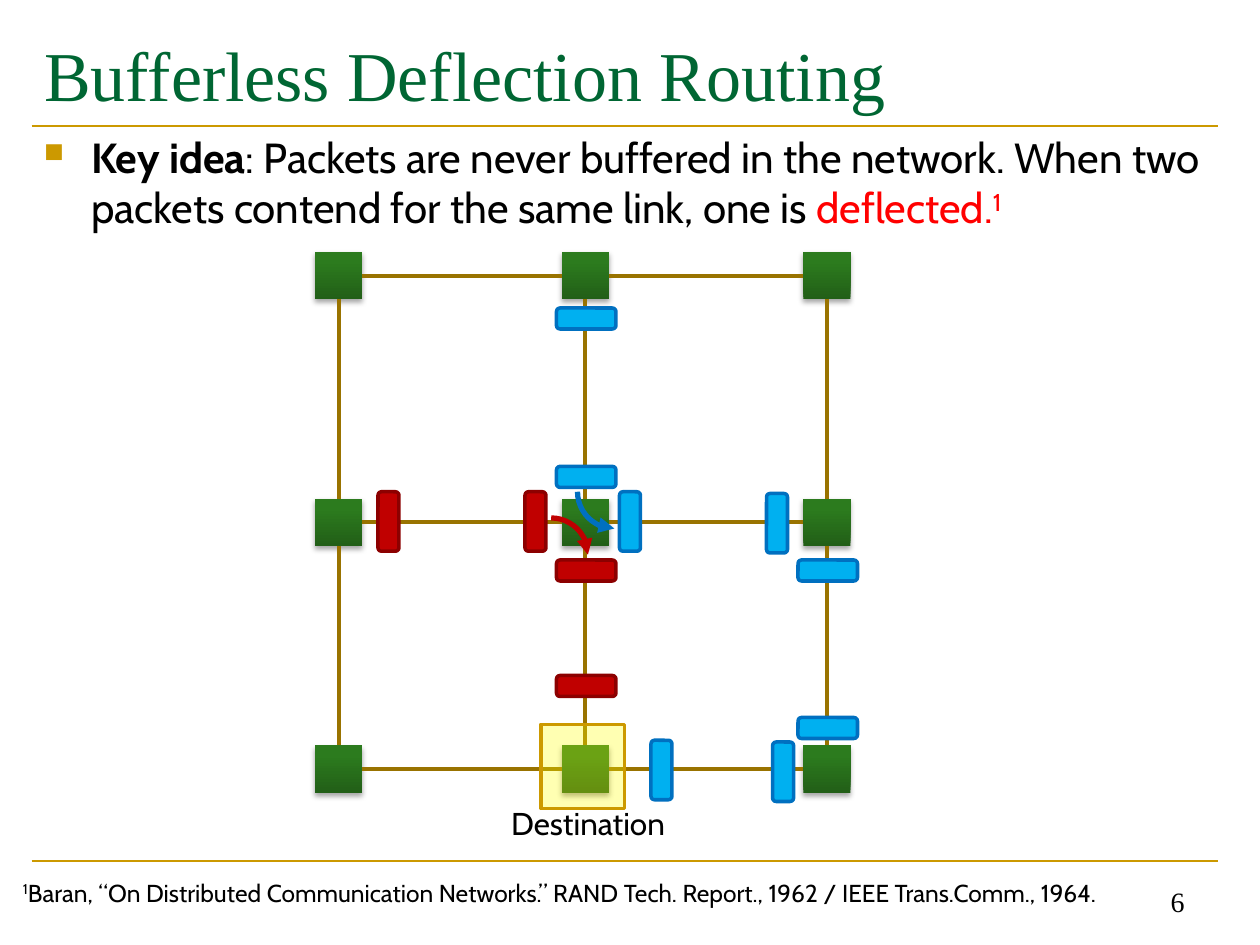
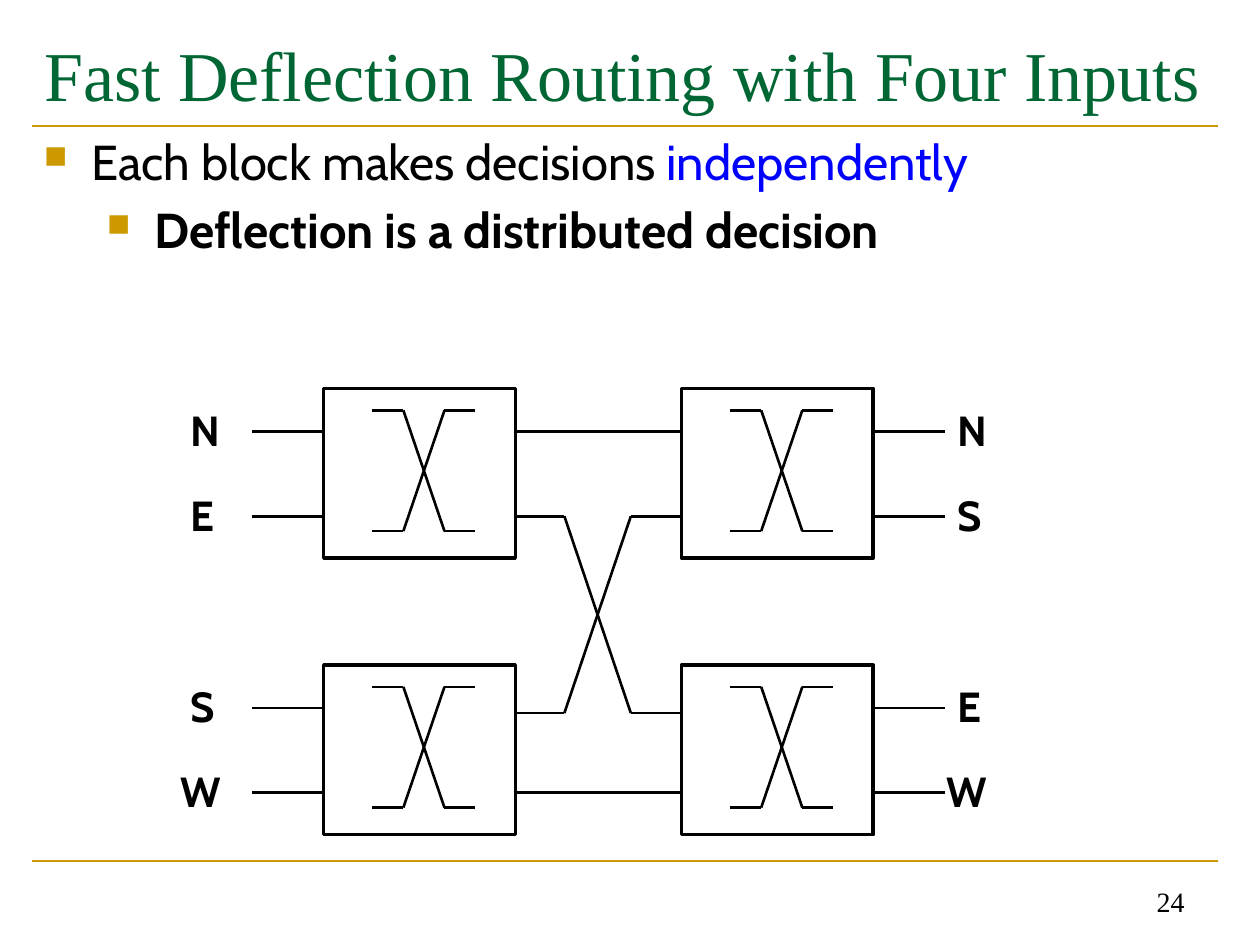
from lxml import etree
from pptx import Presentation
from pptx.dml.color import RGBColor
from pptx.enum import shapes, text
from pptx.oxml import ns
from pptx.util import Pt

COLORS = {
    "title": "006633", "rule": "CC9900", "ink": "000000", "paper": "FFFFFF",
    "red": "C00000", "red_edge": "8C0000", "red_text": "FF0000",
    "blue": "00B0F0", "blue_edge": "0070C0", "blue_text": "0000FF",
    "link": "997300", "node_dark": "225F17", "node_light": "2C7B1E",
    "highlight": "FFFF00",
}
BODY_FONT, TITLE_FONT = "Cabin", "Times New Roman"
TITLE_ONLY = 5


def rgb(name):
    return RGBColor.from_string(COLORS[name])


def child(parent, tag, **attributes):
    element = etree.SubElement(parent, ns.qn(tag))
    for key, value in attributes.items():
        element.set(key, str(value))
    return element


def write(paragraph, words, font=BODY_FONT, size=24, color="ink", bold=False,
          raised=False):
    """Append one formatted run to a paragraph."""
    run = paragraph.add_run()
    run.text = words
    run.font.name, run.font.size, run.font.bold = font, Pt(size), bold
    run.font.color.rgb = rgb(color)
    if raised:
        run.font._element.set("baseline", "30000")


def add_bullet(paragraph, level):
    props = paragraph._p.get_or_add_pPr()
    props.set("marL", str(Pt(27 + 36 * level)))
    props.set("indent", str(Pt(-27)))
    color = child(props, "a:buClr")
    child(color, "a:srgbClr", val=COLORS["rule"])
    child(props, "a:buSzPct", val=65000)
    child(props, "a:buChar", char="■")


class Deck:
    def __init__(self):
        self.prs = Presentation()
        self.prs.slide_width, self.prs.slide_height = Pt(720), Pt(540)
        self.slide = None

    def new_slide(self, heading, number):
        self.slide = self.prs.slides.add_slide(self.prs.slide_layouts[TITLE_ONLY])
        for y in (72, 492):
            self.line((18, y), (696, y), "rule", 1.5)
        title = self.slide.shapes.title
        title.left, title.top, title.width, title.height = map(Pt, (18, 12, 678, 60))
        frame = title.text_frame
        frame.auto_size = text.MSO_AUTO_SIZE.NONE
        frame.vertical_anchor = text.MSO_ANCHOR.MIDDLE
        frame.paragraphs[0].alignment = text.PP_ALIGN.LEFT
        write(frame.paragraphs[0], heading, font=TITLE_FONT, size=40, color="title")
        page = self.text_box(516, 492, 168, 36)
        page.vertical_anchor = text.MSO_ANCHOR.BOTTOM
        page.paragraphs[0].alignment = text.PP_ALIGN.RIGHT
        write(page.paragraphs[0], str(number), font=TITLE_FONT, size=16)

    def text_box(self, x, y, width, height, wrap=True):
        box = self.slide.shapes.add_textbox(*map(Pt, (x, y, width, height)))
        frame = box.text_frame
        frame.word_wrap = wrap
        if not wrap:
            frame.auto_size = text.MSO_AUTO_SIZE.SHAPE_TO_FIT_TEXT
        return frame

    def label(self, x, y, width, height, words, **style):
        frame = self.text_box(x, y, width, height, wrap=False)
        write(frame.paragraphs[0], words, **style)
        return frame.paragraphs[0]

    def bullets(self, height, size, items):
        """Write items, each a level and its (words, style) runs."""
        frame = self.text_box(18, 71.5, 690, height)
        for i, (level, runs) in enumerate(items):
            paragraph = frame.add_paragraph() if i else frame.paragraphs[0]
            if i:
                paragraph.space_before = Pt(size * 0.2)
            add_bullet(paragraph, level)
            for words, style in runs:
                write(paragraph, words, size=size, **style)

    def line(self, start, end, color="ink", weight=1.5):
        rule = self.slide.shapes.add_connector(
            shapes.MSO_CONNECTOR.STRAIGHT, *map(Pt, (*start, *end)))
        rule.line.color.rgb = rgb(color)
        rule.line.width = Pt(weight)
        child(rule._element.spPr, "a:effectLst")

    def shape(self, kind, x, y, width, height, fill=None, edge=None, weight=2,
              opacity=None):
        shape = self.slide.shapes.add_shape(kind, *map(Pt, (x, y, width, height)))
        shape.shadow.inherit = False
        if fill:
            shape.fill.solid()
            shape.fill.fore_color.rgb = rgb(fill)
        else:
            shape.fill.background()
        if opacity:
            tint = shape._element.spPr.find(".//" + ns.qn("a:srgbClr"))
            child(tint, "a:alpha", val=opacity * 1000)
        if edge:
            shape.line.color.rgb = rgb(edge)
            shape.line.width = Pt(weight)
        else:
            shape.line.fill.background()
        return shape

    def node(self, cx, cy, size):
        """Draw a shaded router square around a centre."""
        node = self.shape(shapes.MSO_SHAPE.RECTANGLE,
                          cx - size / 2, cy - size / 2, size, size)
        node.fill.gradient()
        node.fill.gradient_angle = 90
        dark, light = node.fill.gradient_stops
        dark.color.rgb, light.color.rgb = rgb("node_dark"), rgb("node_light")
        light.position = 0.8
        effects = node._element.spPr.find(ns.qn("a:effectLst"))
        shadow = child(effects, "a:outerShdw", blurRad=Pt(3.1), dist=Pt(1.8),
                       dir=5400000, rotWithShape=0)
        child(child(shadow, "a:srgbClr", val=COLORS["ink"]), "a:alpha", val=35000)

    def packet(self, color, cx, cy, upright):
        width, height = (12, 34) if upright else (34, 12)
        self.shape(shapes.MSO_SHAPE.ROUNDED_RECTANGLE, cx - width / 2,
                   cy - height / 2, width, height, color, color + "_edge")

    def turn(self, x, y, color, arrow_end, rotation=0):
        """Draw a quarter-circle arrow with its tip at headEnd or tailEnd."""
        arc = self.shape(shapes.MSO_SHAPE.ARC, x, y, 42, 42, edge=color, weight=3)
        arc.rotation = rotation
        child(arc.line._get_or_add_ln(), "a:" + arrow_end, type="triangle")

    def crossing(self, xs, top, bottom):
        """Draw two wires that swap heights between the inner two xs."""
        start, bend_in, bend_out, end = xs
        for y, other in ((top, bottom), (bottom, top)):
            self.line((start, y), (bend_in, y))
            self.line((bend_in, y), (bend_out, other))
            self.line((bend_out, other), (end, other))


def build_bufferless(deck):
    deck.new_slide("Bufferless Deflection Routing", 6)
    deck.bullets(73, 24, [(0, [
        ("Key idea", {"bold": True}),
        (": Packets are never buffered in the network. When two packets contend "
         "for the same link, one is ", {}),
        ("deflected.", {"color": "red_text"}),
        ("1", {"color": "red_text", "raised": True}),
    ])])

    columns, rows, size = (193.5, 334.5, 472.5), (157.5, 298.5, 439.5), 27
    half = size / 2
    for y in rows:
        for x in columns:
            deck.node(x, y, size)
    for x in columns:
        for upper, lower in zip(rows, rows[1:]):
            deck.line((x, upper + half), (x, lower - half), "link", 2.25)
    for y in rows:
        for left, right in zip(columns, columns[1:]):
            deck.line((left + half, y), (right - half, y), "link", 2.25)

    for color, x, y, upright in (
            ("red", 222, 298, True), ("red", 306, 298, True),
            ("red", 335, 326, False), ("red", 335, 392, False),
            ("blue", 335, 182, False), ("blue", 335, 272.5, False),
            ("blue", 360, 298, True), ("blue", 444, 299, True),
            ("blue", 473, 326, False), ("blue", 473, 416, False),
            ("blue", 447.5, 441, True), ("blue", 378, 440, True)):
        deck.packet(color, x, y, upright)
    deck.turn(330, 260, "blue_edge", "headEnd", rotation=180)
    deck.turn(294, 296, "red", "tailEnd")

    deck.shape(shapes.MSO_SHAPE.RECTANGLE, 309, 414, 48, 48, "highlight", "rule",
               opacity=30)
    deck.label(285, 456, 104.5, 29, "Destination", size=18)
    footnote = deck.label(6, 498, 667, 24, "1", size=14, raised=True)
    write(footnote, "Baran, “On Distributed Communication Networks.” RAND Tech. "
          "Report., 1962 / IEEE Trans.Comm., 1964.", size=14)


def build_four_inputs(deck):
    deck.new_slide("Fast Deflection Routing with Four Inputs", 24)
    deck.bullets(78, 28, [
        (0, [("Each block makes decisions ", {}),
             ("independently", {"color": "blue_text"})]),
        (1, [("Deflection is a distributed decision", {"bold": True})]),
    ])

    block_xs, block_ys, width, height = (185, 389.5), (222, 380), 109.5, 97
    for y in block_ys:
        for x in block_xs:
            deck.shape(shapes.MSO_SHAPE.RECTANGLE, x, y, width, height, "paper", "ink")
            deck.crossing([x + dx for dx in (27.5, 45.5, 69, 86.5)],
                          y + 12.5, y + 81.5)

    first, second = block_xs
    first_end, second_end = first + width, second + width
    ports = [y + dy for y in block_ys for dy in (24.5, 73)]
    deck.crossing((first_end, 322.5, 360.5, second), ports[1], 407.5)
    for y in (ports[0], ports[-1]):
        deck.line((first_end, y), (second, y))

    label_widths = {"N": 33, "E": 29.5, "S": 30, "W": 39.5}
    for names, label_x, wire_start, wire_end in (
            ("NESW", 102, 144, first), ("NSEW", 540, second_end, 540)):
        for name, y in zip(names, ports):
            deck.line((wire_start, y), (wire_end, y))
            shift = 6 if name == "W" else 0
            deck.label(label_x - shift, y - 19, label_widths[name], 36, name,
                       bold=True)


def main():
    deck = Deck()
    build_bufferless(deck)
    build_four_inputs(deck)
    deck.prs.save("out.pptx")


if __name__ == "__main__":
    main()
